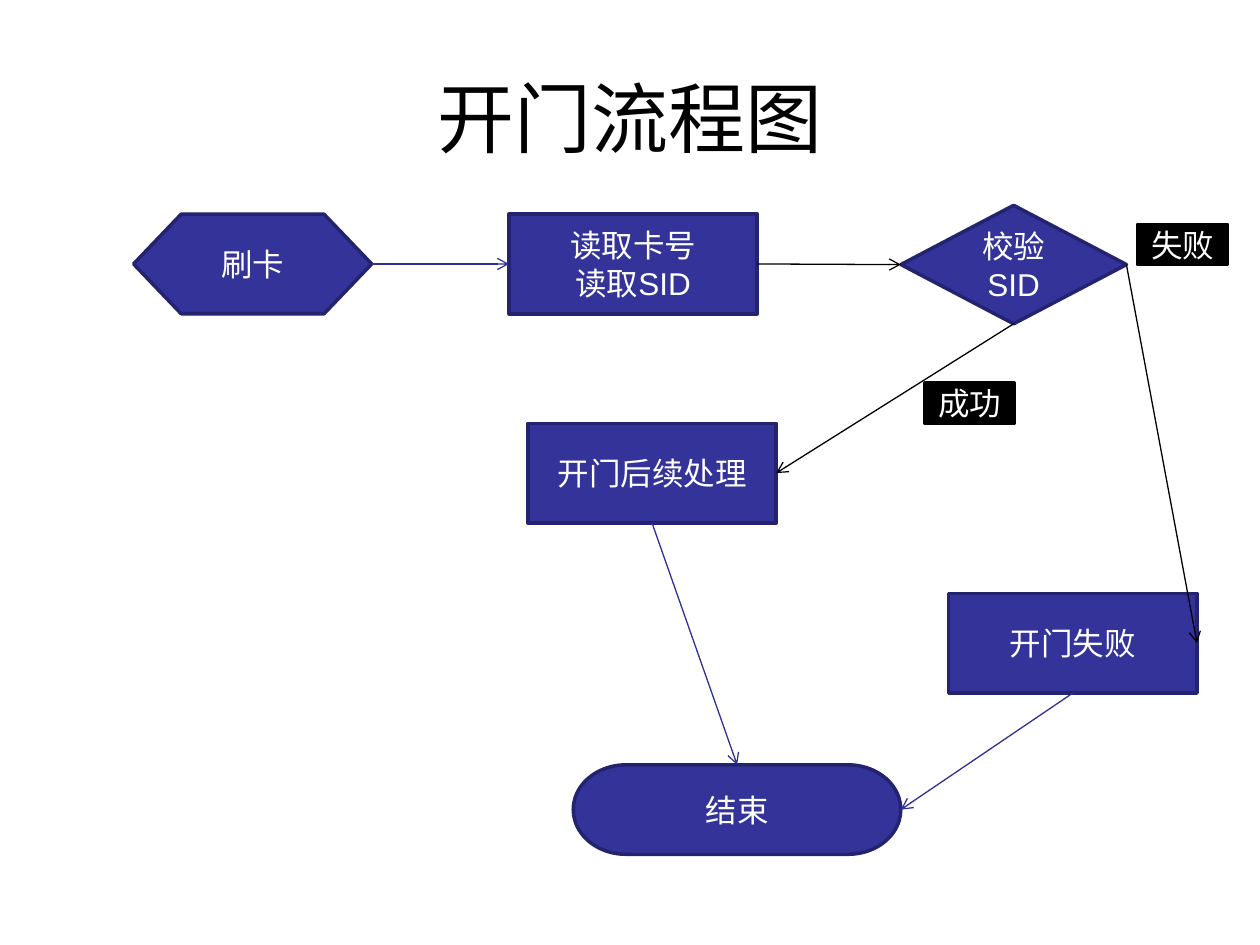
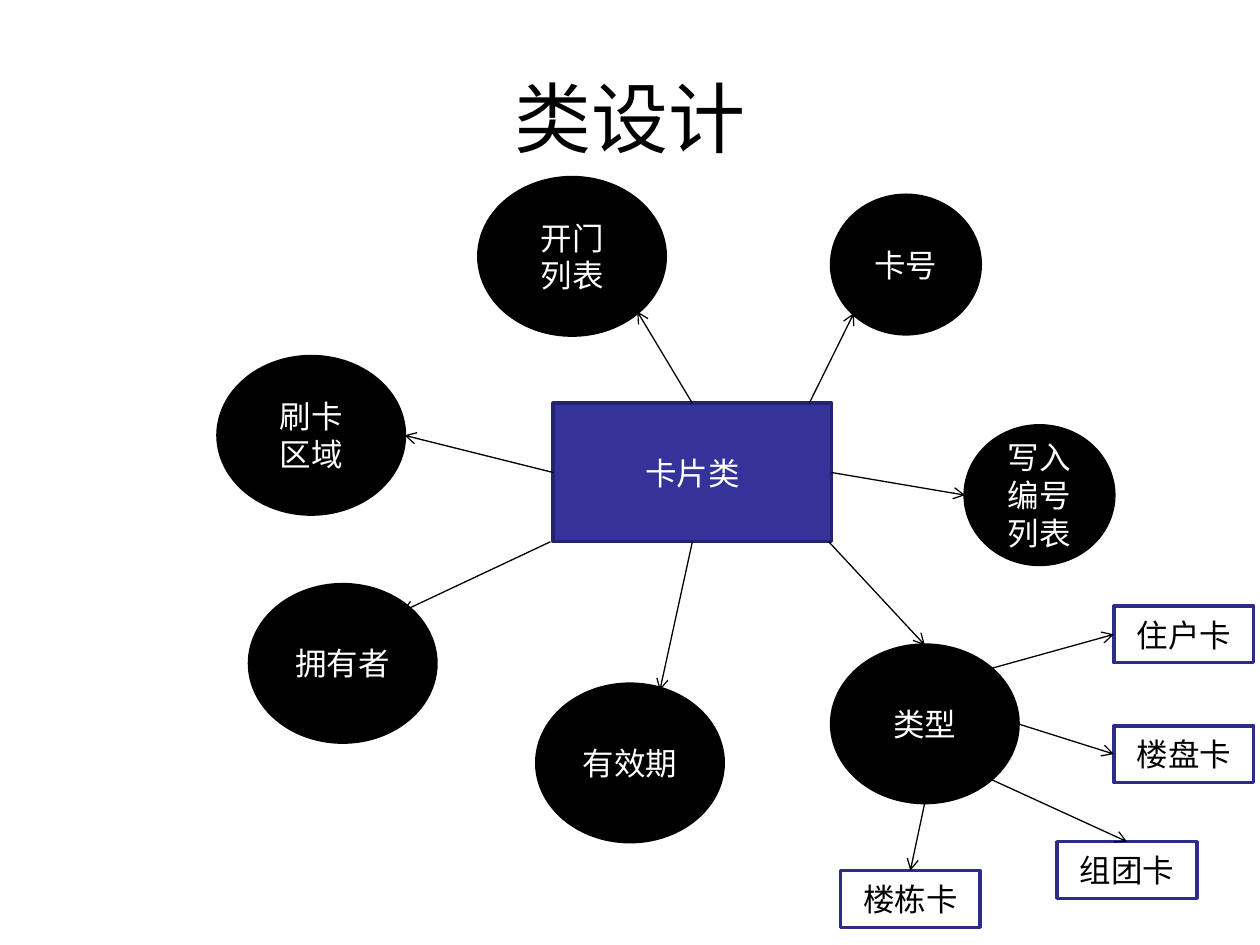
from lxml.etree import SubElement
from pptx import Presentation
from pptx.dml.color import RGBColor
from pptx.enum.shapes import MSO_CONNECTOR, MSO_SHAPE as Shape
from pptx.enum.text import MSO_ANCHOR, PP_ALIGN
from pptx.oxml.ns import qn
from pptx.util import Inches, Pt

# ---- Shared look ----
SLIDE_W, SLIDE_H = 10, 7.5
FONT = "Arial"
BLACK, WHITE = "000000", "FFFFFF"
INDIGO, INDIGO_EDGE = "333399", "23236F"
INDIGO_ARROW, INDIGO_FRAME = "2F2F98", "2D2D89"
TITLE_BOX = (0.05 * SLIDE_W, 0.04 * SLIDE_H, 0.9 * SLIDE_W, SLIDE_H / 6)

# role: preset, width, height, fill, edge, text colour
ROLES = {
    "start": (Shape.FLOWCHART_PREPARATION, 1.89, 0.79, INDIGO, INDIGO_EDGE, WHITE),
    "step": (Shape.FLOWCHART_PROCESS, 1.97, 0.79, INDIGO, INDIGO_EDGE, WHITE),
    "check": (Shape.FLOWCHART_DECISION, 1.79, 0.94, INDIGO, INDIGO_EDGE, WHITE),
    "end": (Shape.FLOWCHART_TERMINATOR, 2.6, 0.71, INDIGO, INDIGO_EDGE, WHITE),
    "outcome": (Shape.RECTANGLE, 0.71, 0.32, BLACK, BLACK, WHITE),
    "class": (Shape.RECTANGLE, 2.21, 1.1, INDIGO, INDIGO_EDGE, WHITE),
    "field": (Shape.OVAL, 1.48, 1.25, BLACK, BLACK, WHITE),
    "small field": (Shape.OVAL, 1.18, 1.1, BLACK, BLACK, WHITE),
    "card type": (Shape.RECTANGLE, 1.11, 0.45, WHITE, INDIGO_FRAME, BLACK),
}

# ---- Content ----
# nodes: (text, role, left, top); links: (from, site, to, site, colour)
# a site is a compass point or a (across, down) share of the node
FLOW = {
    "title": "开门流程图",
    "nodes": [
        ("刷卡", "start", 1.06, 1.7),
        ("校验SID", "check", 7.15, 1.63),
        ("读取卡号\n读取SID", "step", 4.04, 1.7),
        ("开门后续处理", "step", 4.19, 3.36),
        ("结束", "end", 4.55, 6.07),
        ("成功", "outcome", 7.34, 3.04),
        ("失败", "outcome", 9.03, 1.78),
        ("开门失败", "step", 7.53, 4.71),
    ],
    "links": [
        ("刷卡", "E", "读取卡号\n读取SID", "W", INDIGO_ARROW),
        ("读取卡号\n读取SID", "E", "校验SID", "W", BLACK),
        ("开门后续处理", "S", "结束", "N", INDIGO_ARROW),
        ("开门失败", "S", "结束", "E", INDIGO_ARROW),
        ("校验SID", "E", "开门失败", "E", BLACK),
        ("校验SID", "S", "开门后续处理", "E", BLACK),
    ],
}
CLASSES = {
    "title": "类设计",
    "nodes": [
        ("卡片类", "class", 4.39, 3.2),
        ("卡号", "small field", 6.6, 1.55),
        ("写入编号\n列表", "small field", 7.66, 3.38),
        ("类型", "field", 6.6, 5.12),
        ("有效期", "field", 4.26, 5.43),
        ("拥有者", "field", 1.98, 4.64),
        ("刷卡\n区域", "field", 1.73, 2.83),
        ("开门\n列表", "field", 3.8, 1.41),
        ("住户卡", "card type", 8.84, 4.81),
        ("楼盘卡", "card type", 8.84, 5.76),
        ("组团卡", "card type", 8.39, 6.68),
        ("楼栋卡", "card type", 6.67, 6.91),
    ],
    "links": [
        ("卡片类", "N", "开门\n列表", "SE", BLACK),
        ("卡片类", (0.92, 0), "卡号", "SW", BLACK),
        ("卡片类", "E", "写入编号\n列表", "W", BLACK),
        ("卡片类", (0.99, 1), "类型", "N", BLACK),
        ("卡片类", "S", "有效期", (0.66, 0.04), BLACK),
        ("卡片类", (-0.01, 1), "拥有者", (0.82, 0.17), BLACK),
        ("卡片类", "W", "刷卡\n区域", "E", BLACK),
        ("类型", "NE", "住户卡", "W", BLACK),
        ("类型", "E", "楼盘卡", "W", BLACK),
        ("类型", "SE", "组团卡", "N", BLACK),
        ("类型", "S", "楼栋卡", "N", BLACK),
    ],
}

# ---- Sites on a node; the diagonals lie on an ellipse ----
NEAR, FAR = 0.15, 0.85
SITES = {
    "N": (0.5, 0), "W": (0, 0.5), "S": (0.5, 1), "E": (1, 0.5),
    "NE": (FAR, NEAR), "SE": (FAR, FAR), "SW": (NEAR, FAR),
}
SIDES = "NWSE"  # order of the connection sites


def rgb(code):
    return RGBColor.from_string(code)


def write(shape, text, size, colour):
    frame = shape.text_frame
    frame.text = text
    frame.word_wrap = True
    frame.vertical_anchor = MSO_ANCHOR.MIDDLE
    for paragraph in frame.paragraphs:
        paragraph.alignment = PP_ALIGN.CENTER
        for run in paragraph.runs:
            run.font.name = FONT
            run.font.size = Pt(size)
            run.font.color.rgb = rgb(colour)


def add_node(slide, text, role, left, top):
    preset, width, height, fill, edge, ink = ROLES[role]
    node = slide.shapes.add_shape(preset, *map(Inches, (left, top, width, height)))
    node.shadow.inherit = False
    node.fill.solid()
    node.fill.fore_color.rgb = rgb(fill)
    node.line.color.rgb = rgb(edge)
    node.line.width = Pt(2)
    write(node, text, 18, ink)
    return node


def point(node, site):
    across, down = SITES.get(site, site)
    return (int(node.left + across * node.width), int(node.top + down * node.height))


def add_link(slide, source, source_site, target, target_site, colour):
    link = slide.shapes.add_connector(
        MSO_CONNECTOR.STRAIGHT, *point(source, source_site), *point(target, target_site))
    ends = ((link.begin_connect, source, source_site),
            (link.end_connect, target, target_site))
    for connect, node, site in ends:
        if site in tuple(SIDES) and node.auto_shape_type != Shape.OVAL:
            connect(node, SIDES.index(site))
    link.line.color.rgb = rgb(colour)
    link.line.width = Pt(0.75)
    properties = link.line._get_or_add_ln().getparent()
    SubElement(properties.find(qn("a:ln")), qn("a:tailEnd"), type="arrow")
    SubElement(properties, qn("a:effectLst"))


def add_diagram(deck, diagram):
    slide = deck.slides.add_slide(deck.slide_layouts[6])
    title = slide.shapes.add_textbox(*map(Inches, TITLE_BOX))
    write(title, diagram["title"], 44, BLACK)
    nodes = {node[0]: add_node(slide, *node) for node in diagram["nodes"]}
    for source, source_site, target, target_site, colour in diagram["links"]:
        add_link(slide, nodes[source], source_site, nodes[target], target_site, colour)


def main():
    deck = Presentation()
    deck.slide_width, deck.slide_height = Inches(SLIDE_W), Inches(SLIDE_H)
    for diagram in (FLOW, CLASSES):
        add_diagram(deck, diagram)
    deck.save("out.pptx")


if __name__ == "__main__":
    main()
